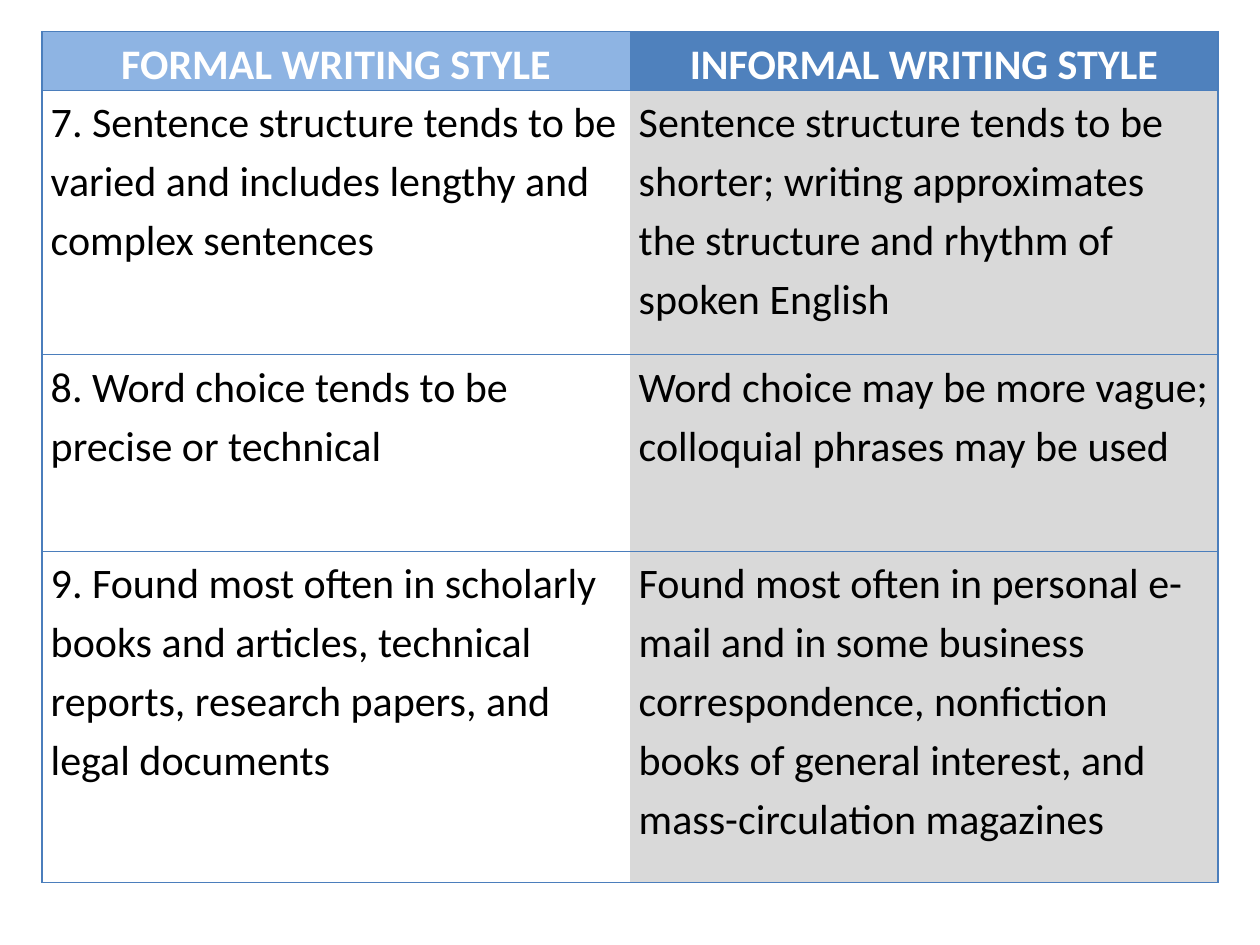
from dataclasses import dataclass

from lxml import etree
from pptx import Presentation
from pptx.dml.color import RGBColor
from pptx.enum.text import MSO_ANCHOR, PP_ALIGN
from pptx.oxml.ns import qn
from pptx.util import Pt

TOP = MSO_ANCHOR.TOP
LEFT, CENTER = PP_ALIGN.LEFT, PP_ALIGN.CENTER
BLANK_LAYOUT = 6


@dataclass(frozen=True)
class Theme:
    """Colours, type and measures shared by the slide."""

    font: str = "Calibri"
    size: float = 24
    line_spacing: float = 1.15
    text: str = "000000"
    header_text: str = "FFFFFF"
    header_fills: tuple = ("8EB4E3", "4F81BD")
    body_fills: tuple = (None, "D9D9D9")
    border: str = "4B7EBC"
    border_width: float = 0.75
    cell_margin: float = 5


THEME = Theme()
COLUMN_WIDTH = 336
ROW_HEIGHTS = (33.5, 151, 112.5, 189)
STYLE_ROWS = (
    ("FORMAL WRITING STYLE", "INFORMAL WRITING STYLE"),
    (
        "7. Sentence structure tends to be varied and includes lengthy and complex sentences",
        "Sentence structure tends to be shorter; writing approximates the structure "
        "and rhythm of spoken English",
    ),
    (
        "8. Word choice tends to be precise or technical",
        "Word choice may be more vague; colloquial phrases may be used",
    ),
    (
        "9. Found most often in scholarly books and articles, technical reports, "
        "research papers, and legal documents",
        "Found most often in personal e-mail and in some business correspondence, "
        "nonfiction books of general interest, and mass-circulation magazines",
    ),
)


def write_text(text_frame, text, *, color=THEME.text, bold=False, alignment=LEFT):
    """Write one formatted paragraph into a text frame."""
    paragraph = text_frame.paragraphs[0]
    paragraph.alignment = alignment
    paragraph.line_spacing = THEME.line_spacing
    run = paragraph.add_run()
    run.text = text
    run.font.name = THEME.font
    run.font.size = Pt(THEME.size)
    run.font.bold = bold
    run.font.color.rgb = RGBColor.from_string(color)


def set_borders(cell, visible_sides):
    """Draw the visible sides of a cell and clear the others."""
    properties = cell._tc.get_or_add_tcPr()
    for side in "LRTB":
        line = etree.SubElement(properties, qn(f"a:ln{side}"), w=str(Pt(THEME.border_width)))
        if side in visible_sides:
            fill = etree.SubElement(line, qn("a:solidFill"))
            etree.SubElement(fill, qn("a:srgbClr"), val=THEME.border)
        else:
            etree.SubElement(line, qn("a:noFill"))


def set_fill(cell, color):
    """Fill a cell with a colour, or leave it clear."""
    if color is None:
        cell.fill.background()
    else:
        cell.fill.solid()
        cell.fill.fore_color.rgb = RGBColor.from_string(color)


def format_cell(cell, text, column, is_header):
    """Set the borders, fill, margins and text of one cell."""
    set_borders(cell, "LR"[column] + "TB")
    set_fill(cell, (THEME.header_fills if is_header else THEME.body_fills)[column])
    cell.margin_left = cell.margin_right = Pt(THEME.cell_margin)
    cell.margin_top = cell.margin_bottom = Pt(0)
    cell.vertical_anchor = TOP
    if is_header:
        write_text(cell.text_frame, text, color=THEME.header_text, bold=True, alignment=CENTER)
    else:
        write_text(cell.text_frame, text)


def add_style_table(slide, left, top):
    """Add the table that compares the two writing styles."""
    column_count = len(STYLE_ROWS[0])
    frame = slide.shapes.add_table(
        len(STYLE_ROWS), column_count, Pt(left), Pt(top),
        Pt(COLUMN_WIDTH * column_count), Pt(sum(ROW_HEIGHTS)),
    )
    table = frame.table
    table.horz_banding = False
    for column in table.columns:
        column.width = Pt(COLUMN_WIDTH)
    for row_index, (height, texts) in enumerate(zip(ROW_HEIGHTS, STYLE_ROWS)):
        table.rows[row_index].height = Pt(height)
        for column_index, text in enumerate(texts):
            format_cell(table.cell(row_index, column_index), text, column_index, row_index == 0)


def main():
    """Build and save the presentation."""
    presentation = Presentation()
    presentation.slide_width, presentation.slide_height = Pt(720), Pt(540)
    slide = presentation.slides.add_slide(presentation.slide_layouts[BLANK_LAYOUT])
    add_style_table(slide, left=24, top=18)
    presentation.save("out.pptx")


if __name__ == "__main__":
    main()
